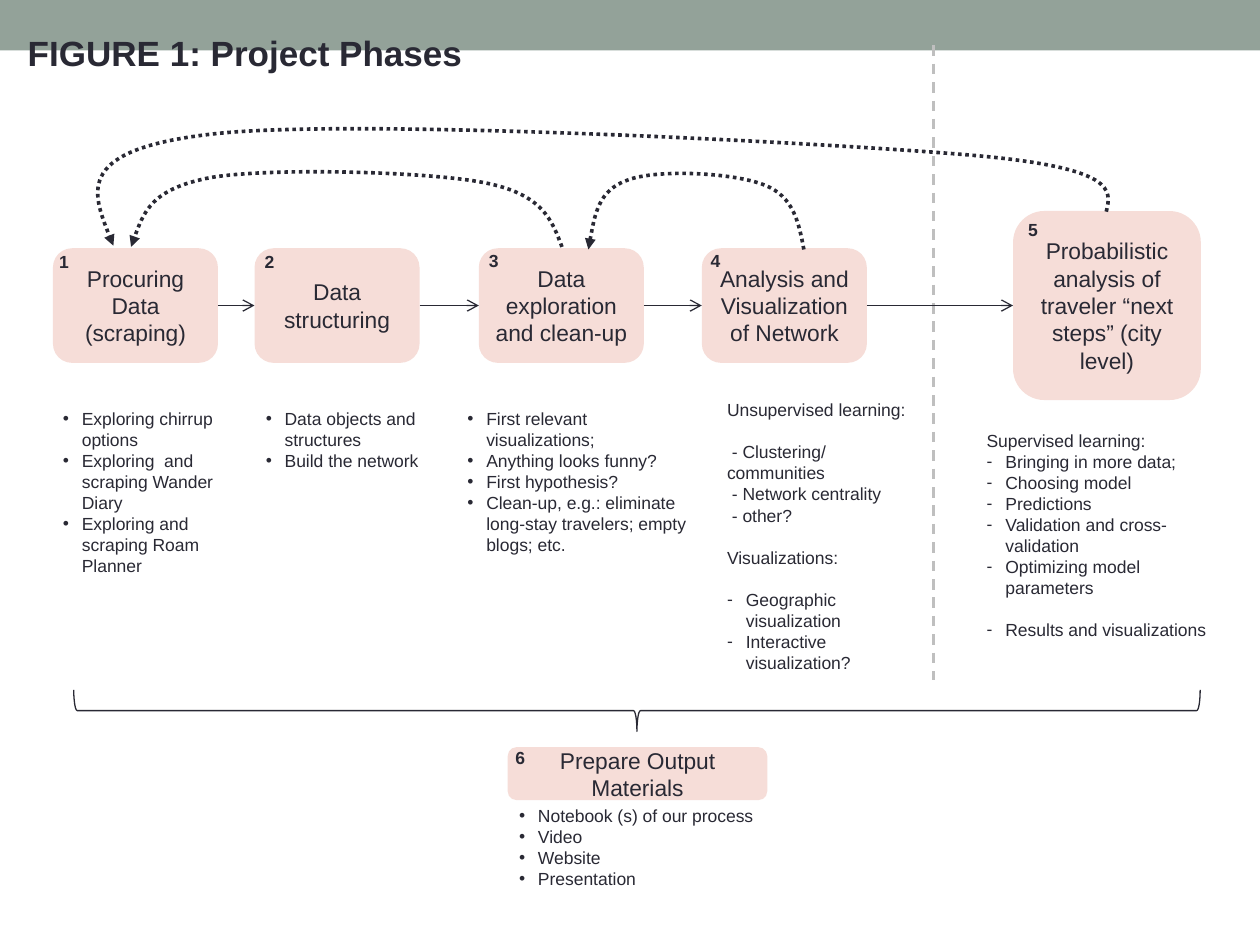
"""Build the project phases slide: six phases, their notes and feedback loops."""
from dataclasses import dataclass
from typing import NamedTuple

from lxml.etree import SubElement
from pptx import Presentation
from pptx.dml.color import RGBColor
from pptx.enum.dml import MSO_LINE as Dash
from pptx.enum.shapes import MSO_CONNECTOR as Conn, MSO_SHAPE as Geo
from pptx.enum.text import MSO_ANCHOR as Anchor, PP_ALIGN as Align
from pptx.oxml.ns import qn
from pptx.util import Emu, Inches, Pt

WIDTH, HEIGHT = Inches(10), Inches(7.5)
COLUMNS, ROWS = 100, 75


@dataclass(frozen=True)
class Theme:
    font: str = "Arial"
    ink: str = "292934"
    band: str = "93A299"
    box: str = "F6DDD8"
    divider: str = "BFBFBF"
    title: float = 20
    phase: float = 13
    note: float = 10
    gap: float = 12
    thin: float = 0.75
    dashed: float = 1.5
    loop: float = 2.08


class Area(NamedTuple):
    col: float
    row: float
    cols: float
    rows: float


class Item(NamedTuple):
    text: str
    bullet: str = ""
    gap: bool = False


@dataclass(frozen=True)
class Phase:
    name: str
    box: Area
    tag: tuple[float, float]
    note: Area
    items: list[Item]


T = Theme()
STEP_ROW, STEP_COLS, STEP_ROWS = 19.7, 13.1, 9.1
NOTE_ROW = 32
TAG_COLS, TAG_ROWS = 1.9, 2.5


def bullets(mark: str, *texts: str) -> list[Item]:
    """Return one item per text, all with the same mark."""
    return [Item(text, mark) for text in texts]


def step(col: float) -> Area:
    """Return the area of a regular phase box."""
    return Area(col, STEP_ROW, STEP_COLS, STEP_ROWS)


PHASES = [
    Phase("Procuring Data (scraping)", step(4.2), (3.9, 19.5), Area(4.2, NOTE_ROW, 14.6, 14.3),
          bullets("•", "Exploring chirrup options", "Exploring  and scraping Wander Diary",
                  "Exploring and scraping Roam Planner")),
    Phase("Data structuring", step(20.2), (20.2, 19.5), Area(20.3, NOTE_ROW, 16, 5.9),
          bullets("•", "Data objects and structures", "Build the network")),
    Phase("Data exploration and clean-up", step(38), (38, 19.4), Area(36.3, NOTE_ROW, 19.4, 12.6),
          bullets("•", "First relevant visualizations;", "Anything looks funny?", "First hypothesis?",
                  "Clean-up, e.g.: eliminate long-stay travelers; empty blogs; etc.")),
    Phase("Analysis and Visualization of Network", step(55.7), (55.6, 19.4), Area(56.9, 31.3, 17.2, 22.7),
          [Item("Unsupervised learning:"), Item(" - Clustering/ communities", gap=True),
           Item(" - Network centrality"), Item(" - other?"), Item("Visualizations:", gap=True),
           Item("Geographic visualization", "-", True), Item("Interactive visualization?", "-")]),
    Phase("Probabilistic analysis of traveler “next steps” (city level)", Area(80.4, 16.75, 14.9, 15),
          (80.8, 17), Area(77.5, 33.7, 20.6, 17.7),
          [Item("Supervised learning:"),
           *bullets("-", "Bringing in more data;", "Choosing model", "Predictions",
                    "Validation and cross-validation", "Optimizing model parameters"),
           Item("Results and visualizations", "-", True)]),
    Phase("Prepare Output Materials", Area(40.3, 59.3, 20.6, 4.2), (40.1, 58.9), Area(40.4, 63.5, 28.4, 7.6),
          bullets("•", "Notebook (s) of our process", "Video", "Website", "Presentation")),
]

LOOPS = [
    [(44.6, 19.6), (43.8, 17.5), (43.1, 15.4), (38.4, 14.5), (33.8, 13.6), (21.3, 13.3), (16.7, 14.1),
     (12, 15), (11.2, 17.3), (10.4, 19.6)],
    [(63.8, 19.8), (63.4, 17.7), (63, 15.6), (60.7, 14.7), (58.3, 13.7), (52.1, 13.4), (49.8, 14.3),
     (47.5, 15.1), (47.1, 17.5), (46.7, 19.8)],
    [(87.8, 16.8), (88.2, 15.1), (88.7, 13.3), (76.9, 12.3), (65.1, 11.3), (28.5, 9.4), (17.2, 10.6),
     (5.9, 11.8), (7.4, 15.6), (9, 19.5)],
]


def x(cols: float) -> Emu:
    """Turn grid columns into a length."""
    return Emu(round(WIDTH * cols / COLUMNS))


def y(rows: float) -> Emu:
    """Turn grid rows into a length."""
    return Emu(round(HEIGHT * rows / ROWS))


def place(area: Area) -> tuple[Emu, Emu, Emu, Emu]:
    """Return left, top, width and height of an area."""
    return x(area.col), y(area.row), x(area.cols), y(area.rows)


def frame(sp, anchor=Anchor.TOP):
    """Set wrapping, margins and anchor, and return the text frame."""
    tf = sp.text_frame
    tf.word_wrap, tf.vertical_anchor = True, anchor
    tf.margin_left = tf.margin_right = Inches(0.08)
    tf.margin_top = tf.margin_bottom = Inches(0.04)
    return tf


def add_run(p, text: str, size: float, bold: bool = False, align=Align.LEFT) -> None:
    """Add one formatted run to a paragraph."""
    p.alignment = align
    r = p.add_run()
    r.text = text
    r.font.name, r.font.size, r.font.bold = T.font, Pt(size), bold
    r.font.color.rgb = RGBColor.from_string(T.ink)


def style_line(sp, color: str, width: float, dash=None, tail: str = "") -> None:
    """Format a line and give it an optional arrowhead."""
    sp.line.color.rgb = RGBColor.from_string(color)
    sp.line.width = Pt(width)
    if dash:
        sp.line.dash_style = dash
    if tail:
        SubElement(sp.element.spPr.find(qn("a:ln")), qn("a:tailEnd"), type=tail)


def add_filled(s, geo, area: Area, color: str):
    """Add a filled shape without outline or shadow."""
    sp = s.shapes.add_shape(geo, *place(area))
    sp.shadow.inherit = False
    sp.fill.solid()
    sp.fill.fore_color.rgb = RGBColor.from_string(color)
    sp.line.fill.background()
    return sp


def add_line(s, start: tuple[float, float], end: tuple[float, float]):
    """Add a straight connector without shadow."""
    sp = s.shapes.add_connector(Conn.STRAIGHT, x(start[0]), y(start[1]), x(end[0]), y(end[1]))
    SubElement(sp.element.spPr, qn("a:effectLst"))
    return sp


def add_phase(s, number: int, phase: Phase):
    """Add a phase box with its number and notes, and return the box."""
    sp = add_filled(s, Geo.ROUNDED_RECTANGLE, phase.box, T.box)
    add_run(frame(sp, Anchor.MIDDLE).paragraphs[0], phase.name, T.phase, align=Align.CENTER)
    tag = s.shapes.add_textbox(*place(Area(*phase.tag, TAG_COLS, TAG_ROWS)))
    add_run(frame(tag).paragraphs[0], str(number), T.note, True, Align.CENTER)
    tf = frame(s.shapes.add_textbox(*place(phase.note)))
    for i, item in enumerate(phase.items):
        p = tf.add_paragraph() if i else tf.paragraphs[0]
        add_run(p, item.text, T.note)
        if item.gap:
            p.space_before = Pt(T.gap)
        if item.bullet:
            pPr = p._p.get_or_add_pPr()
            pPr.set("marL", str(Inches(0.15)))
            pPr.set("indent", str(-Inches(0.15)))
            SubElement(pPr, qn("a:buFont"), typeface=T.font)
            SubElement(pPr, qn("a:buChar"), char=item.bullet)
    return sp


def add_loop(s, points: list[tuple[float, float]]) -> None:
    """Add a dotted arrow through a chain of cubic Bezier points."""
    start, *rest = [(x(col), y(row)) for col, row in points]
    builder = s.shapes.build_freeform(*start)
    builder.add_line_segments(rest, close=False)
    sp = builder.convert_to_shape()
    sp.shadow.inherit = False
    sp.fill.background()
    style_line(sp, T.ink, T.loop, Dash.ROUND_DOT, "triangle")
    outline = sp.element.spPr.find(".//" + qn("a:path"))
    for i, segment in enumerate(outline.findall(qn("a:lnTo"))):
        if i % 3 == 0:
            curve = SubElement(outline, qn("a:cubicBezTo"))
        curve.append(segment[0])
        outline.remove(segment)


def main() -> None:
    """Build and save the slide."""
    prs = Presentation()
    prs.slide_width, prs.slide_height = WIDTH, HEIGHT
    s = prs.slides.add_slide(prs.slide_layouts[5])
    title = s.shapes.title
    title.left, title.top, title.width, title.height = place(Area(1.4, 2.1, 93.2, 4.2))
    add_run(frame(title).paragraphs[0], "FIGURE 1: Project Phases", T.title, True)
    band = add_filled(s, Geo.RECTANGLE, Area(0, 0, COLUMNS, 4), T.band)
    title.element.addprevious(band.element)

    style_line(add_line(s, (74.1, 3.6), (74.1, 54)), T.divider, T.dashed, Dash.DASH)
    boxes = [add_phase(s, number, phase) for number, phase in enumerate(PHASES, 1)]
    flow = boxes[:5]
    for before, after in zip(flow, flow[1:]):
        arrow = add_line(s, (0, 0), (1, 1))
        arrow.begin_connect(before, 3)
        arrow.end_connect(after, 1)
        style_line(arrow, T.ink, T.thin, tail="arrow")
    for points in LOOPS:
        add_loop(s, points)
    brace = s.shapes.add_shape(Geo.RIGHT_BRACE, *place(Area(48.9, 11.7, 3.3, 89.4)))
    brace.rotation = 90
    brace.shadow.inherit = False
    brace.fill.background()
    style_line(brace, T.ink, T.thin)
    prs.save("out.pptx")


if __name__ == "__main__":
    main()
